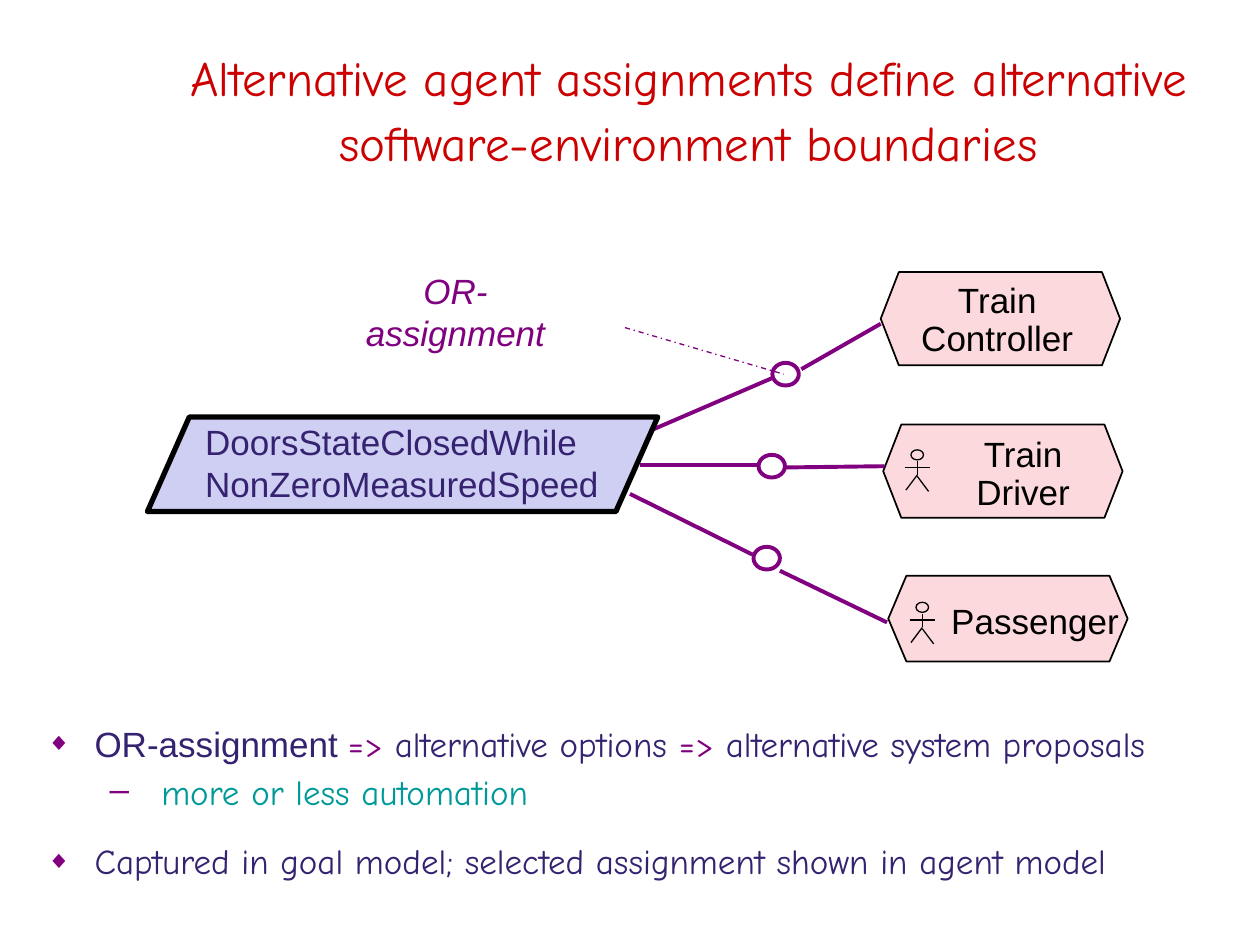
from pptx import Presentation
from pptx.dml.color import RGBColor
from pptx.enum.dml import MSO_LINE
from pptx.enum.shapes import MSO_CONNECTOR, MSO_SHAPE
from pptx.enum.text import MSO_ANCHOR, MSO_AUTO_SIZE, PP_ALIGN
from pptx.oxml.ns import qn
from pptx.util import Pt
from lxml.etree import SubElement

PX = 9144  # 100 px to the inch
PURPLE, NAVY, TEAL, RED = "800080", "352270", "009999", "CC0000"
BLACK, PINK, LILAC = "000000", "FBD9DC", "CECFF2"
SANS, COMIC = "Arial", "Comic Neue"


def px(*nums):
    return [round(n * PX) for n in nums]


def rgb(code):
    return RGBColor.from_string(code)


def write(para, text, size=20, face=SANS, color=BLACK, italic=None):
    run = para.add_run()
    run.text = text
    font = run.font
    font.size, font.name, font.italic = Pt(size), face, italic
    font.color.rgb = rgb(color)


def shape(slide, kind, box, fill=None, line=BLACK, width=1, adj=None):
    item = slide.shapes.add_shape(kind, *px(*box))
    item.shadow.inherit = False
    if fill:
        item.fill.solid()
        item.fill.fore_color.rgb = rgb(fill)
    else:
        item.fill.background()
    item.line.color.rgb = rgb(line)
    item.line.width = Pt(width)
    if adj:
        item.adjustments[0] = adj
    return item


def link(slide, start, end, color=PURPLE, width=2.25, dash=None):
    item = slide.shapes.add_connector(MSO_CONNECTOR.STRAIGHT, *px(*start, *end))
    item.line.color.rgb = rgb(color)
    item.line.width = Pt(width)
    if dash:
        item.line.dash_style = dash
    SubElement(item._element.spPr, qn("a:effectLst"))


def label(slide, box, lines, **style):
    """Centred lines set close together."""
    frame = slide.shapes.add_textbox(*px(*box)).text_frame
    frame.word_wrap = False
    frame.auto_size = MSO_AUTO_SIZE.SHAPE_TO_FIT_TEXT
    frame.vertical_anchor = MSO_ANCHOR.MIDDLE
    for i, line in enumerate(lines):
        para = frame.add_paragraph() if i else frame.paragraphs[0]
        para.alignment = PP_ALIGN.CENTER
        if i:
            para.line_spacing, para.space_before = 0.3, Pt(12)
        write(para, line, **style)


def person(slide, left, top):
    """Stick figure: head, body, two legs and arms."""
    shape(slide, MSO_SHAPE.OVAL, (left + 5, top, 10, 8), width=0.75)
    for x1, y1, x2, y2 in ((10, 9, 10, 20), (10, 20, 1, 32),
                           (10, 21, 19, 33), (0, 14, 20, 14)):
        link(slide, (left + x1, top + y1), (left + x2, top + y2), BLACK, 0.75)


def agent(slide, box, lines, text, human):
    left, top, _, high = box
    shape(slide, MSO_SHAPE.HEXAGON, box, PINK, adj=14.4 / high)
    x, y, wide, tall = text
    label(slide, (left + x, top + y, wide, tall), lines)
    if human:
        person(slide, left + 17, top + 20 + (human == "low"))


def branch(slide, left, top, goal, near, far, end):
    """Ring with a link back to the goal and one on to the agent."""
    link(slide, goal, near)
    link(slide, far, end)
    shape(slide, MSO_SHAPE.OVAL, (left, top, 21, 18), line=PURPLE, width=2.25)


def goal(slide, left, top):
    shape(slide, MSO_SHAPE.PARALLELOGRAM, (left, top, 405, 75), LILAC,
          width=3, adj=0.443)
    frame = slide.shapes.add_textbox(*px(left + 36, top - 2, 353, 75)).text_frame
    frame.word_wrap = True
    for i, line in enumerate(("DoorsStateClosedWhile", "NonZeroMeasuredSpeed")):
        para = frame.add_paragraph() if i else frame.paragraphs[0]
        write(para, line, color=NAVY)


def diagram(slide):
    agent(slide, (699, 216, 190, 74), ("Train", "Controller"), (22, 0, 141, 70), None)
    agent(slide, (701, 337, 190, 74), ("Train", "Driver"), (64, 1, 94, 70), "high")
    agent(slide, (705, 457, 190, 68), ("Passenger",), (40, 14, 153, 43), "low")
    branch(slide, 613, 288, (511, 344), (613, 300), (636, 293), (699, 257))
    branch(slide, 602, 361, (508, 369), (601, 369), (624, 371), (702, 370))
    branch(slide, 598, 434, (500, 392), (597, 440), (619, 453), (704, 494))
    goal(slide, 117, 331)
    label(slide, (255, 226, 213, 43), ("OR-assignment",), color=PURPLE, italic=True)
    link(slide, (496, 260), (622, 297), width=0.75, dash=MSO_LINE.DASH_DOT)


def place(item, box):
    item.left, item.top, item.width, item.height = px(*box)
    frame = item.text_frame
    frame.word_wrap = True
    frame.auto_size = MSO_AUTO_SIZE.NONE
    return frame


def title(slide, box):
    frame = place(slide.shapes.title, box)
    frame.vertical_anchor = MSO_ANCHOR.MIDDLE
    para = frame.paragraphs[0]
    para.alignment = PP_ALIGN.CENTER
    para.line_spacing = 1.1
    write(para, "Alternative agent assignments define alternative "
          "software-environment boundaries", size=28, face=COMIC, color=RED)


def bullet(para, mark, left, hang, size):
    props = para._p.get_or_add_pPr()
    props.set("marL", str(px(left)[0]))
    props.set("indent", str(px(-hang)[0]))
    SubElement(SubElement(props, qn("a:buClr")), qn("a:srgbClr"), val=PURPLE)
    SubElement(props, qn("a:buSzPct"), val=str(size * 1000))
    SubElement(props, qn("a:buFont"), typeface=SANS)
    SubElement(props, qn("a:buChar"), char=mark)


def points(slide, box):
    frame = place(slide.placeholders[1], box)
    frame.margin_left = px(20)[0]
    frame.vertical_anchor = MSO_ANCHOR.TOP
    items = (
        (0, 1.1, (("OR-assignment ", SANS, NAVY), ("=>", COMIC, PURPLE),
                  (" alternative options ", COMIC, NAVY), ("=>", COMIC, PURPLE),
                  (" alternative system proposals", COMIC, NAVY))),
        (1, 0.6, (("more or less automation", COMIC, TEAL),)),
        (0, 1.2, (("Captured in goal model; selected assignment shown "
                   "in agent model", COMIC, NAVY),)),
    )
    marks = (("◆", 38, 38, 70), ("–", 91, 41, 100))
    for i, (level, space, runs) in enumerate(items):
        para = frame.add_paragraph() if i else frame.paragraphs[0]
        para.level = level
        bullet(para, *marks[level])
        para.line_spacing = space
        para.space_before = Pt(12 if i else 0)
        for text, face, color in runs:
            write(para, text, face=face, color=color)


def main():
    deck = Presentation()
    deck.slide_width, deck.slide_height = px(1000, 750)
    slide = deck.slides.add_slide(deck.slide_layouts[1])
    title(slide, (120, 30, 853, 109))
    diagram(slide)
    points(slide, (17, 565, 963, 122))
    deck.save("out.pptx")


if __name__ == "__main__":
    main()
